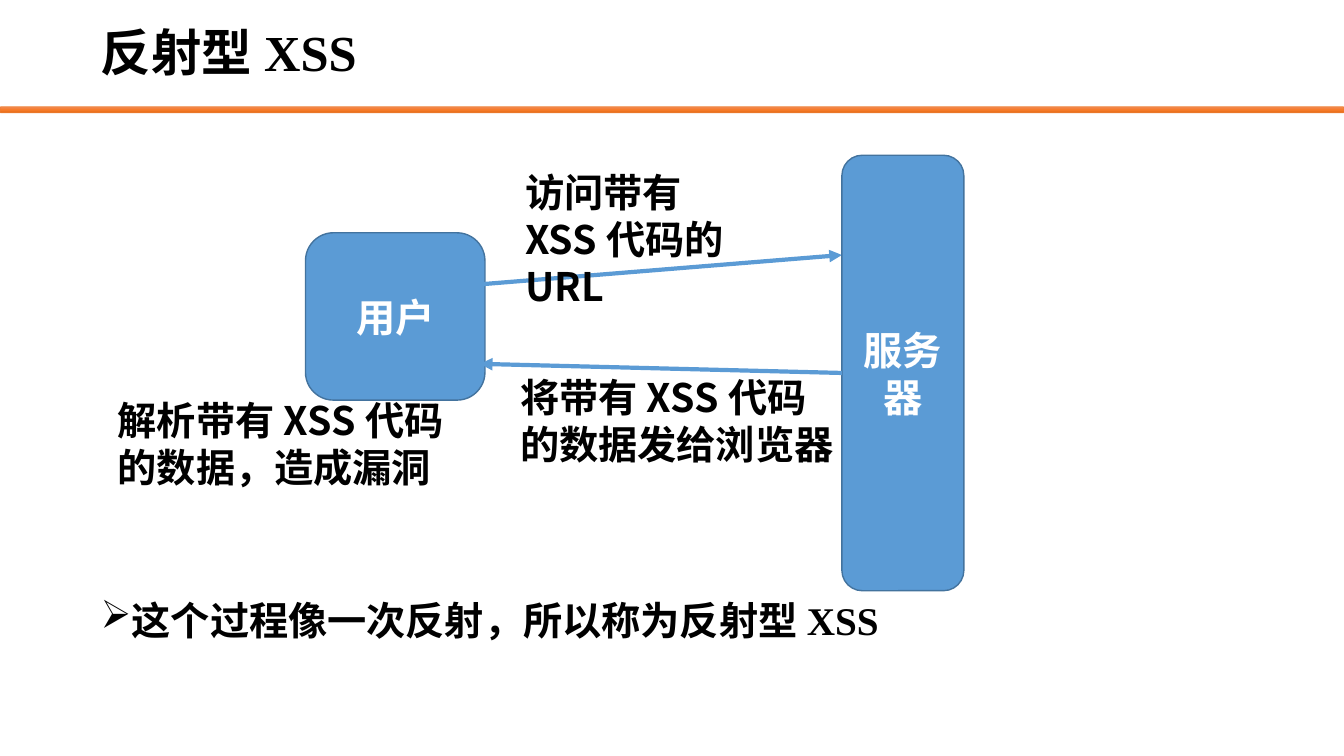
from dataclasses import dataclass

from lxml import etree
from pptx import Presentation
from pptx.dml.color import RGBColor
from pptx.enum import shapes, text
from pptx.oxml.ns import qn
from pptx.util import Inches, Pt


@dataclass(frozen=True)
class Theme:
    """Colours, fonts and sizes of the slide."""
    black: str = "000000"
    white: str = "FFFFFF"
    blue: str = "5B9BD5"
    blue_edge: str = "43739E"
    orange_edge: str = "ED7D31"
    orange_stops: tuple = (("F18C57", 0), ("F67B28", 50), ("E56C19", 100))
    sans: str = "Noto Sans CJK SC"
    serif: str = "Times New Roman"
    title_size: int = 36
    body_size: int = 28


THEME = Theme()


def colour(value):
    """Turn a hex value into a colour."""
    return RGBColor.from_string(value)


def write(shape, words, latin=THEME.sans, size=THEME.body_size, ink=THEME.black,
          align=text.PP_ALIGN.LEFT, anchor=text.MSO_ANCHOR.TOP):
    """Fill a shape with one bold paragraph and return it."""
    frame = shape.text_frame
    frame.text = words
    frame.word_wrap = True
    frame.auto_size = text.MSO_AUTO_SIZE.NONE
    frame.vertical_anchor = anchor
    para = frame.paragraphs[0]
    para.alignment = align
    span = para.runs[0]
    span.font.size = Pt(size)
    span.font.bold = True
    span.font.name = latin
    span.font.color.rgb = colour(ink)
    properties = span.font._element
    east_asian = etree.Element(qn("a:ea"), typeface=THEME.sans)
    properties.find(qn("a:latin")).addnext(east_asian)
    return para


def add_title(page, words):
    """Place the title at the top left."""
    title = page.shapes.title
    title.left, title.top, title.width, title.height = map(Inches, (0.9, 0.06, 11.5, 0.98))
    para = write(title, words, THEME.serif, THEME.title_size, anchor=text.MSO_ANCHOR.MIDDLE)
    para.line_spacing = 0.9


def add_rounded(page, place, edge, width):
    """Add a rounded rectangle with an outline and no shadow."""
    box = page.shapes.add_shape(shapes.MSO_SHAPE.ROUNDED_RECTANGLE, *map(Inches, place))
    box.shadow.inherit = False
    box.line.color.rgb = colour(edge)
    box.line.width = Pt(width)
    return box


def add_rule(page):
    """Add the orange gradient bar under the title."""
    bar = add_rounded(page, (0, 1.06, 13.33, 0.06), THEME.orange_edge, 0.5)
    bar.fill.gradient()
    bar.fill.gradient_angle = 270
    stops = bar.fill._fill._gradFill.find(qn("a:gsLst"))
    for stop in list(stops):
        stops.remove(stop)
    for value, percent in THEME.orange_stops:
        stop = etree.SubElement(stops, qn("a:gs"), pos=str(percent * 1000))
        etree.SubElement(stop, qn("a:srgbClr"), val=value)


def add_node(page, words, place):
    """Add a blue party of the exchange."""
    node = add_rounded(page, place, THEME.blue_edge, 1)
    node.fill.solid()
    node.fill.fore_color.rgb = colour(THEME.blue)
    write(node, words, ink=THEME.white, align=text.PP_ALIGN.CENTER,
          anchor=text.MSO_ANCHOR.MIDDLE)


def add_arrow(page, start, end):
    """Add a blue arrow pointing at its end."""
    arrow = page.shapes.add_connector(shapes.MSO_CONNECTOR.STRAIGHT,
                                      *map(Inches, start + end))
    arrow.line.color.rgb = colour(THEME.blue)
    arrow.line.width = Pt(3)
    etree.SubElement(arrow.line._get_or_add_ln(), qn("a:tailEnd"), type="triangle")
    etree.SubElement(arrow._element.spPr, qn("a:effectLst"))


def add_label(page, words, place, latin=THEME.sans):
    """Add a text box and return its paragraph."""
    return write(page.shapes.add_textbox(*map(Inches, place)), words, latin)


def add_bullet(page, words, place):
    """Add a conclusion with an arrow bullet."""
    para = add_label(page, words, place, THEME.serif)
    para.line_spacing = 1.5
    para.space_before = Pt(10)
    properties = para._p.get_or_add_pPr()
    properties.set("marL", str(Inches(0.25)))
    properties.set("indent", str(-Inches(0.25)))
    etree.SubElement(properties, qn("a:buChar"), char="➢")


def main():
    """Build the slide and save it."""
    deck = Presentation()
    deck.slide_width, deck.slide_height = Inches(13.33), Inches(7.5)
    page = deck.slides.add_slide(deck.slide_layouts[5])
    add_rule(page)
    add_title(page, "反射型XSS")
    add_node(page, "用户", (3.03, 2.31, 1.78, 1.66))
    add_arrow(page, (4.65, 2.83), (8.35, 2.53))
    add_node(page, "服务器", (8.35, 1.54, 1.21, 4.32))
    add_label(page, "访问带有XSS代码的URL", (5.11, 1.62, 2.53, 1.51))
    add_label(page, "将带有XSS代码的数据发给浏览器", (5.06, 3.65, 3.35, 1.04))
    add_label(page, "解析带有XSS代码的数据，造成漏洞", (1.07, 3.88, 3.44, 1.04))
    add_arrow(page, (8.35, 3.7), (4.76, 3.61))
    add_bullet(page, "这个过程像一次反射，所以称为反射型XSS", (0.9, 5.63, 10.43, 1.8))
    deck.save("out.pptx")


main()
